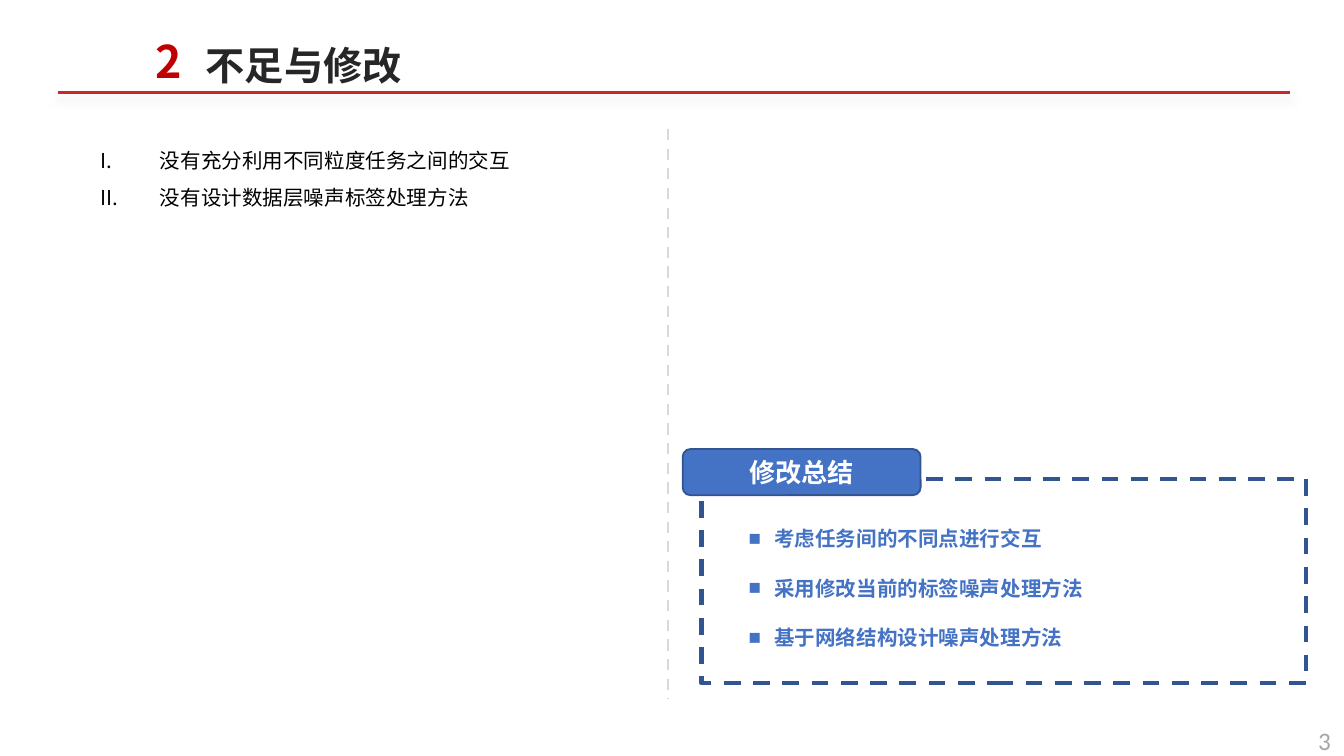
from pptx import Presentation
from pptx import util as u
from pptx.dml.color import RGBColor
from pptx.enum import dml, shapes, text
from pptx.oxml import parse_xml
from pptx.oxml.ns import nsdecls, qn

SANS = "Noto Sans CJK SC"
BLUE, NAVY = "4472C4", "325491"
WIDE = 10
HIGH = WIDE * 9 / 16
LEFT, MID, RIGHT = text.PP_ALIGN.LEFT, text.PP_ALIGN.CENTER, text.PP_ALIGN.RIGHT

HEAD = "不足与修改"
FLAWS = ["没有充分利用不同粒度任务之间的交互", "没有设计数据层噪声标签处理方法"]
FIXES = ["考虑任务间的不同点进行交互", "采用修改当前的标签噪声处理方法", "基于网络结构设计噪声处理方法"]
ROMAN = ['<a:buFont %s typeface="+mj-lt"/>', '<a:buAutoNum %s type="romanUcPeriod"/>']
SQUARE = ['<a:buFont %s typeface="Arial"/>', '<a:buChar %s char="■"/>']

AREA = {
    "head": (14.3, 3.02, 40.1, 8.9),
    "part": (10.6, 3.56, 6.7, 8.9),
    "flaws": (6.5, 17.07, 43.5, 11.03),
    "fixes": (54.7, 65.43, 44, 20.64),
    "frame": (52.2, 63.35, 45, 27.05),
    "badge": (50.8, 59.41, 17.7, 6.1),
    "page": (93.8, 95.02, 6.2, 5.87),
}
RULE = (4.3, 12.28, 96, 12.28)
SPLIT = (49.7, 17.07, 49.7, 92.44)


def color(code):
    return RGBColor.from_string(code)


def scale(area):
    return [u.Inches(n / 100 * size) for n, size in zip(area, (WIDE, HIGH) * 2)]


def place(shape, name):
    shape.left, shape.top, shape.width, shape.height = scale(AREA[name])


def write(shape, lines, size, code, bold=False, font=SANS, align=LEFT,
          pitch=None, indent=0, marks=(), anchor=text.MSO_ANCHOR.TOP):
    frame = shape.text_frame
    frame.word_wrap = True
    frame.auto_size = text.MSO_AUTO_SIZE.NONE
    frame.vertical_anchor = anchor
    for i, line in enumerate(lines):
        para = frame.add_paragraph() if i else frame.paragraphs[0]
        para.alignment = align
        para.space_before = u.Pt(0)
        if pitch:
            para.line_spacing = u.Pt(pitch)
        if marks:
            props = para._p.get_or_add_pPr()
            props.set("marL", str(u.Inches(indent)))
            props.set("indent", str(-u.Inches(indent)))
            for mark in marks:
                props.append(parse_xml(mark % nsdecls("a")))
        run = para.add_run()
        run.text = line
        run.font.name, run.font.size, run.font.bold = font, u.Pt(size), bold
        run.font.color.rgb = color(code)
        run.font._element.find(qn("a:latin")).addnext(
            parse_xml(f'<a:ea {nsdecls("a")} typeface="{font}"/>'))


def stroke(shape, code, width, dash=False):
    shape.line.color.rgb = color(code)
    shape.line.width = u.Pt(width)
    if dash:
        shape.line.dash_style = dml.MSO_LINE.DASH


def link(ends, code, dash=False, effect=""):
    line = slide.shapes.add_connector(shapes.MSO_CONNECTOR.STRAIGHT, *scale(ends))
    stroke(line, code, 1.5, dash)
    line._element.spPr.append(
        parse_xml(f'<a:effectLst {nsdecls("a")}>{effect}</a:effectLst>'))


def block(kind, name):
    shape = slide.shapes.add_shape(kind, *scale(AREA[name]))
    shape.shadow.inherit = False
    return shape


deck = Presentation()
deck.slide_width, deck.slide_height = u.Inches(WIDE), u.Inches(HIGH)
slide = deck.slides.add_slide(deck.slide_layouts[3])

SHADE = (f'<a:outerShdw blurRad="{u.Pt(4)}" dist="{u.Pt(3)}" dir="5400000" rotWithShape="0">'
         '<a:srgbClr val="D9D7DA"><a:alpha val="60000"/></a:srgbClr></a:outerShdw>')
link(RULE, "CD2626", effect=SHADE)
link(SPLIT, "D9D9D9", dash=True)

title, flaws, fixes = slide.placeholders
for shape, name in ((title, "head"), (flaws, "flaws"), (fixes, "fixes")):
    place(shape, name)
write(title, [HEAD], 21, "262626", True, pitch=31.5)
write(flaws, FLAWS, 11, "000000", pitch=19.8, indent=0.44, marks=ROMAN)
write(fixes, FIXES, 11, BLUE, True, pitch=26.5, indent=0.19, marks=SQUARE)

part = slide.shapes.add_textbox(*scale(AREA["part"]))
write(part, ["2"], 24, "C00000", True, pitch=28.8)
page = slide.shapes.add_textbox(*scale(AREA["page"]))
write(page, ["3"], 13.5, "A6A6A6", font="Calibri", align=RIGHT)

frame = block(shapes.MSO_SHAPE.RECTANGLE, "frame")
frame.fill.background()
stroke(frame, NAVY, 2.25, True)

badge = block(shapes.MSO_SHAPE.ROUNDED_RECTANGLE, "badge")
badge.fill.solid()
badge.fill.fore_color.rgb = color(BLUE)
stroke(badge, NAVY, 1)
write(badge, ["修改总结"], 14, "FFFFFF", True, align=MID, anchor=text.MSO_ANCHOR.MIDDLE)

deck.save("out.pptx")
